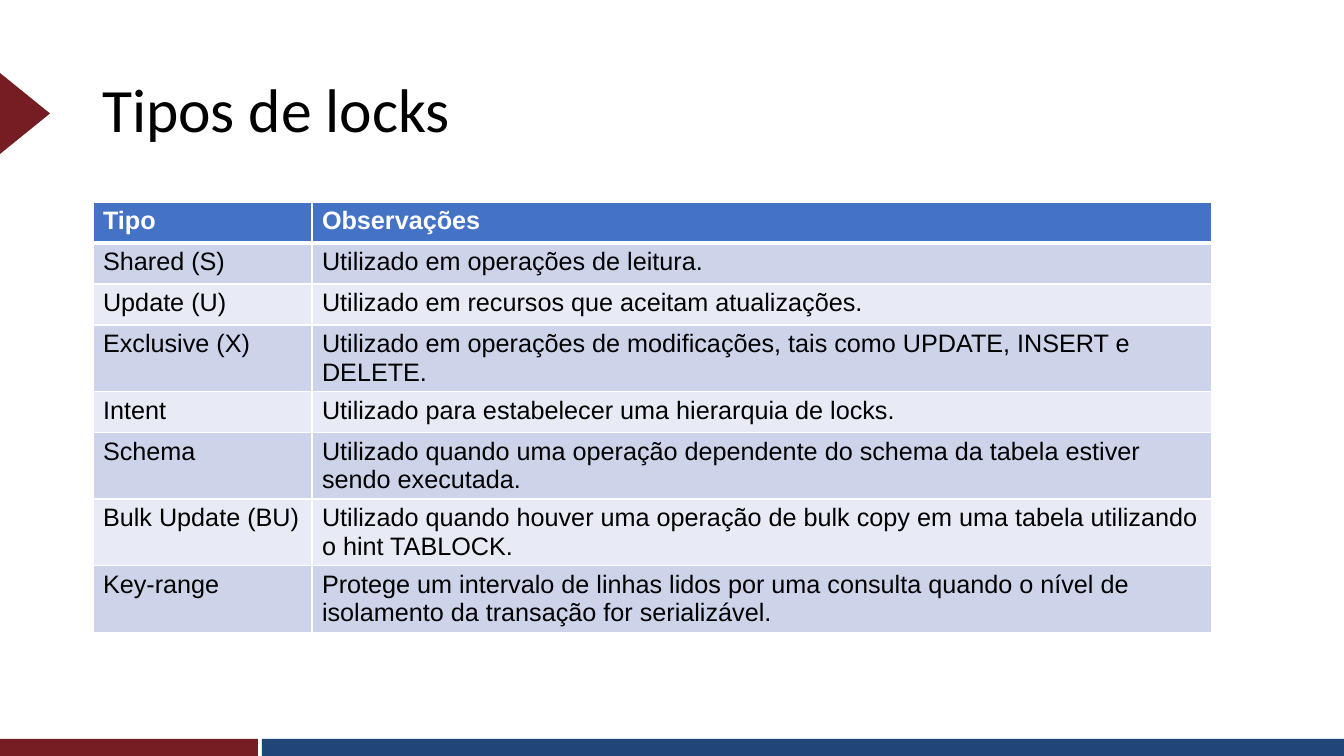
import pptx
import pptx.util
import pptx.dml.color
import pptx.enum.shapes
import pptx.enum.text
import pptx.oxml

RGBColor = pptx.dml.color.RGBColor
SHAPES = pptx.enum.shapes.MSO_SHAPE
MAROON = RGBColor(0x75, 0x1D, 0x23)
NAVY = RGBColor(0x20, 0x46, 0x77)
HEADER_BLUE = RGBColor(0x44, 0x72, 0xC4)
BAND_DARK = RGBColor(0xCD, 0xD4, 0xEA)
BAND_LIGHT = RGBColor(0xE8, 0xEB, 0xF5)
WHITE = RGBColor(0xFF, 0xFF, 0xFF)
BLACK = RGBColor(0x00, 0x00, 0x00)

EMU_PER_PX = 914400 / 100.8
SLIDE_WIDTH, SLIDE_HEIGHT = 1344, 756

LOCKS = [
    ("Tipo", "Observações"),
    ("Shared (S)", "Utilizado em operações de leitura."),
    ("Update (U)", "Utilizado em recursos que aceitam atualizações."),
    ("Exclusive (X)", "Utilizado em operações de modificações, tais como UPDATE, INSERT e DELETE."),
    ("Intent", "Utilizado para estabelecer uma hierarquia de locks."),
    ("Schema", "Utilizado quando uma operação dependente do schema da tabela estiver sendo executada."),
    ("Bulk Update (BU)", "Utilizado quando houver uma operação de bulk copy em uma tabela utilizando o hint TABLOCK."),
    ("Key-range", "Protege um intervalo de linhas lidos por uma consulta quando o nível de isolamento da transação for serializável."),
]


def px(length):
    return pptx.util.Emu(round(length * EMU_PER_PX))


def add_run(paragraph, text, font_name, size, color, bold=False):
    run = paragraph.add_run()
    run.text = text
    run.font.name = font_name
    run.font.size = pptx.util.Pt(size)
    run.font.bold = bold
    run.font.color.rgb = color


def add_block(slide, preset, left, top, width, height, color):
    block = slide.shapes.add_shape(preset, px(left), px(top), px(width), px(height))
    block.shadow.inherit = False
    block.fill.solid()
    block.fill.fore_color.rgb = color
    block.line.fill.background()
    return block


def add_footer(slide, left, top, width, height):
    maroon_width, gap = 258, 4
    navy_left = left + maroon_width + gap
    add_block(slide, SHAPES.RECTANGLE, left, top, maroon_width, height, MAROON)
    add_block(slide, SHAPES.RECTANGLE, navy_left, top, left + width - navy_left, height, NAVY)


def add_title_marker(slide, left, top, width, height):
    turned_left = left + (width - height) / 2
    turned_top = top + (height - width) / 2
    marker = add_block(slide, SHAPES.ISOSCELES_TRIANGLE, turned_left, turned_top, height, width, MAROON)
    marker.rotation = 90


def place_title(slide, left, top, width, height):
    title = slide.shapes.title
    title.left, title.top, title.width, title.height = px(left), px(top), px(width), px(height)
    title.text_frame.word_wrap = True
    title.text_frame.vertical_anchor = pptx.enum.text.MSO_ANCHOR.MIDDLE
    heading = title.text_frame.paragraphs[0]
    heading.alignment = pptx.enum.text.PP_ALIGN.LEFT
    heading.line_spacing = 0.9
    add_run(heading, "Tipos de locks", "Calibri", 44, BLACK)


def add_borders(cell, bottom_points):
    properties = cell._tc.get_or_add_tcPr()
    for side, points in (("L", 1), ("R", 1), ("T", 1), ("B", bottom_points)):
        properties.append(pptx.oxml.parse_xml(
            f'<a:ln{side} xmlns:a="http://schemas.openxmlformats.org/drawingml/2006/main" '
            f'w="{pptx.util.Pt(points)}"><a:solidFill><a:srgbClr val="{WHITE}"/></a:solidFill></a:ln{side}>'))


def add_lock_table(slide, left, top, width, row_height):
    type_width = 219
    frame = slide.shapes.add_table(
        len(LOCKS), 2, px(left), px(top), px(width), px(row_height * len(LOCKS)))
    locks = frame.table
    locks.columns[0].width = px(type_width)
    locks.columns[1].width = px(width - type_width)
    for row, texts in enumerate(LOCKS):
        is_header = row == 0
        band = HEADER_BLUE if is_header else (BAND_LIGHT, BAND_DARK)[row % 2]
        for column, text in enumerate(texts):
            cell = locks.cell(row, column)
            add_borders(cell, 3 if is_header else 1)
            cell.fill.solid()
            cell.fill.fore_color.rgb = band
            add_run(cell.text_frame.paragraphs[0], text, "Arial", 18,
                    WHITE if is_header else BLACK, is_header)


def build_lock_slide(deck):
    slide = deck.slides.add_slide(deck.slide_layouts[5])
    add_footer(slide, 0, 739, SLIDE_WIDTH, 17)
    add_title_marker(slide, 0, 73, 50, 81)
    place_title(slide, 92, 40, 1159, 146)
    add_lock_table(slide, 93, 202, 1119, 41)


def main():
    deck = pptx.Presentation()
    deck.slide_width, deck.slide_height = px(SLIDE_WIDTH), px(SLIDE_HEIGHT)
    build_lock_slide(deck)
    deck.save("out.pptx")


if __name__ == "__main__":
    main()
